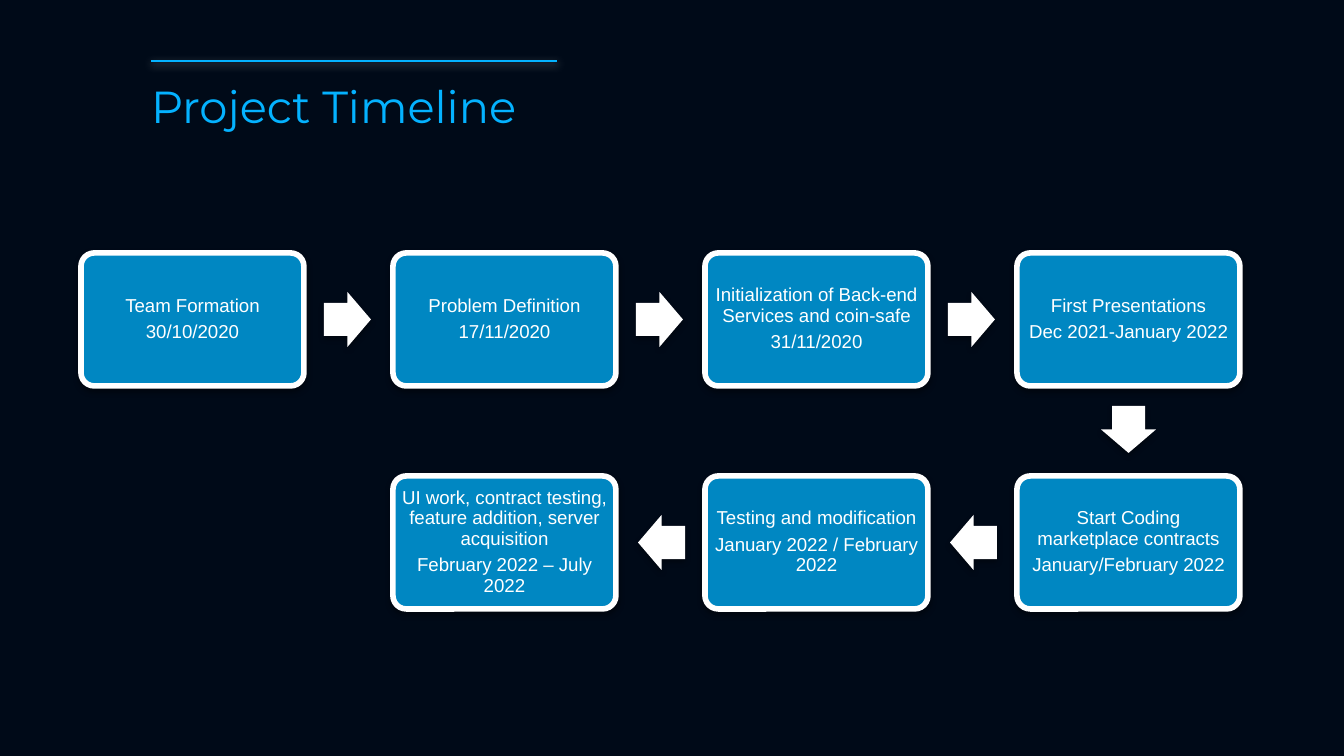
from lxml.etree import SubElement
from pptx import Presentation
from pptx.dml.color import RGBColor
from pptx.enum.shapes import MSO_CONNECTOR, MSO_SHAPE
from pptx.enum.text import MSO_ANCHOR, PP_ALIGN
from pptx.oxml.ns import qn
from pptx.util import Emu, Pt

NIGHT = RGBColor(0x00, 0x0A, 0x18)
SKY = RGBColor(0x04, 0xB2, 0xFF)
BLUE = RGBColor(0x00, 0x87, 0xC2)
WHITE = RGBColor(0xFF, 0xFF, 0xFF)
BLACK = RGBColor(0x00, 0x00, 0x00)

LEFT, PITCH = 81, 312
BOX_WIDTH, BOX_HEIGHT = 223, 133
ARROW_WIDTH, ARROW_HEIGHT = 47, 55
UPPER, LOWER = 253, 476

MILESTONES = [
    (0, UPPER, "Team Formation", "30/10/2020"),
    (1, UPPER, "Problem Definition", "17/11/2020"),
    (2, UPPER, "Initialization of Back-end Services and coin-safe", "31/11/2020"),
    (3, UPPER, "First Presentations", "Dec 2021-January 2022"),
    (3, LOWER, "Start Coding marketplace contracts", "January/February 2022"),
    (2, LOWER, "Testing and modification", "January 2022 / February 2022"),
    (1, LOWER, "UI work, contract testing, feature addition, server acquisition",
     "February 2022 – July 2022"),
]


def px(length):
    return Emu(round(length * 914400 / 134.4))


class TimelineSlide:
    """Draws the elements of a dark timeline slide in one style."""

    def __init__(self, presentation):
        self.slide = presentation.slides.add_slide(presentation.slide_layouts[6])
        self.shapes = self.slide.shapes
        background = self.slide.background.fill
        background.solid()
        background.fore_color.rgb = NIGHT

    def shadow(self, shape, color, opacity, blur, distance):
        properties = shape._element.spPr
        effects = properties.find(qn("a:effectLst"))
        if effects is None:
            effects = SubElement(properties, qn("a:effectLst"))
        outer = SubElement(effects, qn("a:outerShdw"), blurRad=str(Pt(blur)),
                           dist=str(Pt(distance)), dir="5400000", rotWithShape="0")
        tint = SubElement(outer, qn("a:srgbClr"), val=str(color))
        SubElement(tint, qn("a:alpha"), val=str(opacity * 1000))

    def title(self, text, left, top, width, height):
        frame = self.shapes.add_textbox(px(left), px(top), px(width), px(height)).text_frame
        frame.word_wrap = True
        frame.margin_left = frame.margin_right = px(13)
        frame.margin_top = frame.margin_bottom = px(13)
        heading = frame.paragraphs[0]
        heading.text = text
        heading.font.name = "Montserrat"
        heading.font.size = Pt(24)
        heading.font.color.rgb = SKY

    def rule(self, left, right, y):
        line = self.shapes.add_connector(MSO_CONNECTOR.STRAIGHT, px(left), px(y), px(right), px(y))
        line.line.color.rgb = SKY
        line.line.width = Pt(0.75)
        self.shadow(line, WHITE, 50, 4.5, 1.5)

    def block(self, preset, left, top, width, height, fill, adjustments):
        shape = self.shapes.add_shape(preset, px(left), px(top), px(width), px(height))
        for index, value in enumerate(adjustments):
            shape.adjustments[index] = value
        shape.fill.solid()
        shape.fill.fore_color.rgb = fill
        shape.line.fill.background()
        shape.shadow.inherit = False
        self.shadow(shape, BLACK, 38, 3.1, 1.6)
        return shape

    def milestone(self, left, top, step, date):
        box = self.block(MSO_SHAPE.ROUNDED_RECTANGLE, left, top, BOX_WIDTH, BOX_HEIGHT, BLUE, [0.1])
        box.line.color.rgb = WHITE
        box.line.width = Pt(3)
        frame = box.text_frame
        frame.word_wrap = True
        frame.vertical_anchor = MSO_ANCHOR.MIDDLE
        frame.margin_left = frame.margin_right = px(5)
        frame.margin_top = frame.margin_bottom = px(5)
        frame.text = f"{step}\n{date}"
        for paragraph in frame.paragraphs:
            paragraph.alignment = PP_ALIGN.CENTER
            paragraph.line_spacing = 0.9
            paragraph.space_after = Pt(3.5)
            paragraph.font.name = "Arial"
            paragraph.font.size = Pt(10)
            paragraph.font.color.rgb = WHITE

    def arrow(self, left, top, rotation):
        arrow = self.block(MSO_SHAPE.RIGHT_ARROW, left, top, ARROW_WIDTH, ARROW_HEIGHT,
                           WHITE, [0.6, 0.5])
        arrow.rotation = rotation


def main():
    presentation = Presentation()
    presentation.slide_width = px(1344)
    presentation.slide_height = px(756)
    timeline = TimelineSlide(presentation)
    timeline.title("Project Timeline", 138, 66, 691, 138)
    timeline.rule(151, 557, 61)

    middle = (BOX_HEIGHT - ARROW_HEIGHT) // 2
    for position, (column, top, step, date) in enumerate(MILESTONES):
        left = LEFT + column * PITCH
        timeline.milestone(left, top, step, date)
        if position == len(MILESTONES) - 1:
            break
        next_column, next_top = MILESTONES[position + 1][:2]
        if next_top > top:
            timeline.arrow(left + (BOX_WIDTH - ARROW_WIDTH) // 2, top + 149, 90)
        elif next_column > column:
            timeline.arrow(left + 243, top + middle, 0)
        else:
            timeline.arrow(left - 67, top + middle, 180)

    presentation.save("out.pptx")


if __name__ == "__main__":
    main()
